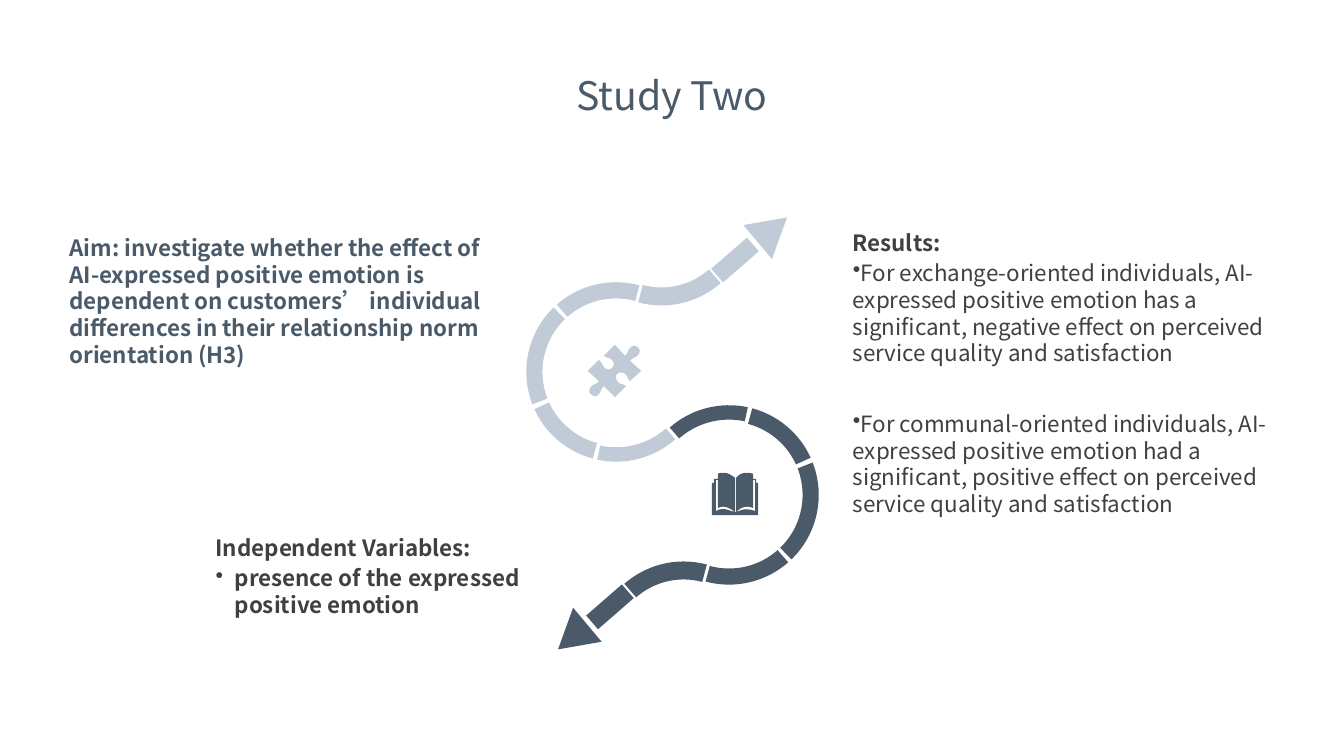
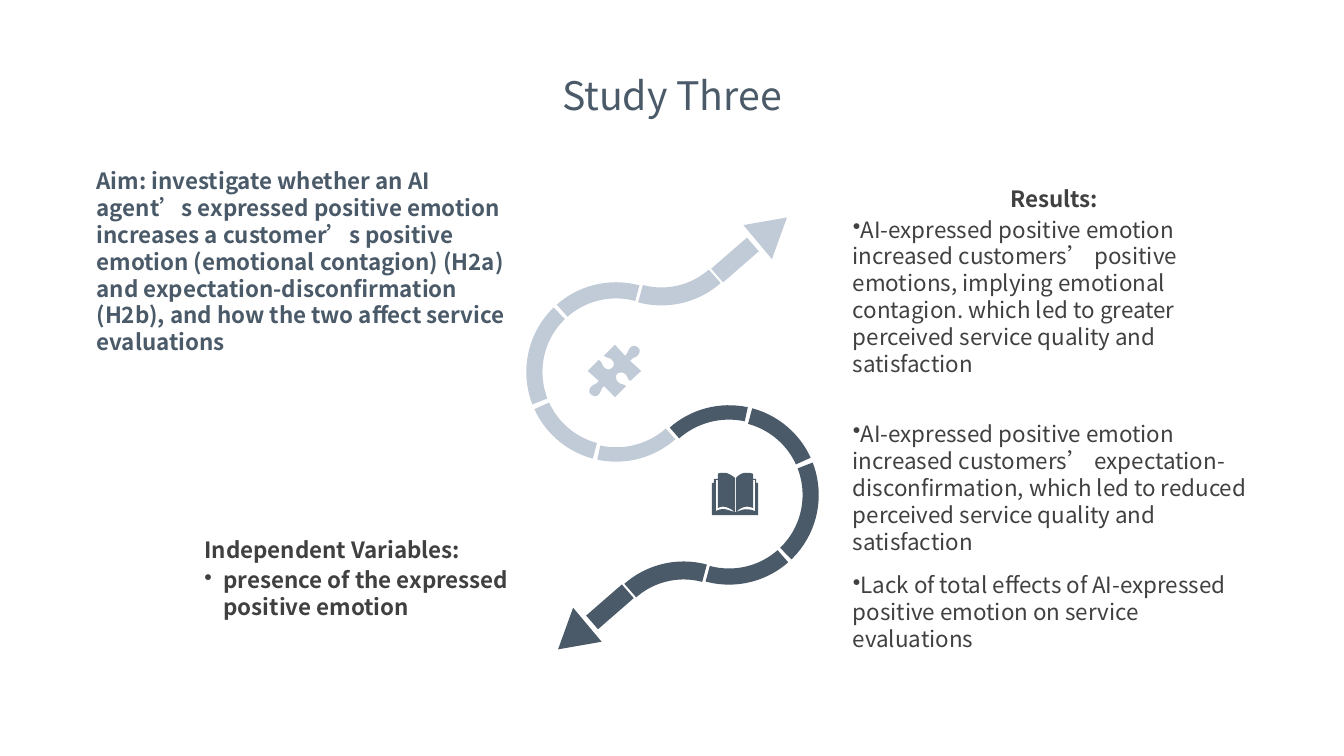
from pptx import Presentation
from pptx.dml.color import RGBColor
from pptx.enum.shapes import MSO_SHAPE as Preset
from pptx.enum.text import MSO_AUTO_SIZE as AutoSize, PP_ALIGN as Align
from pptx.oxml.xmlchemy import OxmlElement
from pptx.util import Inches, Pt

LIGHT, DARK, BODY = "C1CBD7", "4A5A69", "404040"
FONT = "Noto Sans CJK SC"

# Outlines in hundredths of an inch: pairs are line ends, sixes are cubic curves.
PUZZLE = [
    (633, 345), (635, 346, 635, 350, 633, 352), (631, 355, 628, 354, 625, 358),
    (636, 368), (625, 378), (622, 376, 623, 373, 620, 371),
    (618, 369, 614, 369, 612, 371), (611, 372, 610, 376, 613, 379),
    (616, 382, 617, 380, 621, 383), (610, 394), (599, 383),
    (595, 387, 597, 388, 594, 391), (592, 394, 588, 393, 586, 391),
    (584, 390, 584, 386, 586, 384), (588, 381, 591, 382, 594, 378),
    (583, 368), (594, 357), (598, 360, 597, 363, 600, 365),
    (602, 367, 605, 367, 607, 365), (609, 363, 610, 360, 607, 357),
    (604, 354, 603, 356, 599, 353), (610, 342), (620, 353),
    (624, 349, 622, 348, 625, 345), (628, 342, 631, 343, 633, 345),
]
BOOK = [
    (729, 508), (730, 508), (737, 505, 741, 504, 749, 507), (749, 476),
    (747, 476), (747, 504), (741, 501, 735, 503, 730, 508), (730, 474),
    (733, 471, 736, 469, 740, 469), (742, 469, 744, 469, 747, 470),
    (747, 475), (750, 475), (750, 479), (752, 479), (752, 511), (706, 511),
    (706, 479), (708, 479), (708, 475), (712, 475), (712, 470),
    (714, 469, 716, 469, 718, 469), (722, 469, 725, 471, 729, 474),
    (729, 508), (723, 503, 717, 501, 712, 504), (712, 476), (710, 476),
    (710, 507), (717, 503, 722, 506, 729, 508),
]

# Centre x, centre y, rotation, start angle, end angle, thickness.
ARC_SIZE = 1.78
ARCS = [
    (6.11, 3.69, 285, 233.82, 300.96, 0.09),
    (6.11, 3.69, 285, 303.68, 0.12, 0.09),
    (6.11, 3.69, 285, 180, 230.49, 0.09),
    (6.11, 3.69, 105, 303.68, 357.1, 0.08),
    (6.56, 2.14, 105, 303.68, 0.03, 0.1),
]
RIBBON_CENTER = (6.67, 4.3)


def color(value):
    return RGBColor.from_string(value)


def flatten(outline, steps=6):
    """Turn lines and cubic curves into a list of points."""
    points = [outline[0]]
    for piece in outline[1:]:
        if len(piece) == 2:
            points.append(piece)
            continue
        controls = [points[-1], piece[:2], piece[2:4], piece[4:]]
        for step in range(1, steps + 1):
            t = step / steps
            weights = ((1 - t) ** 3, 3 * t * (1 - t) ** 2, 3 * t * t * (1 - t), t ** 3)
            points.append(tuple(
                sum(weight * control[axis] for weight, control in zip(weights, controls))
                for axis in (0, 1)))
    return points


def add_bullet(paragraph, indent):
    properties = paragraph._p.get_or_add_pPr()
    properties.set("marL", str(Inches(indent)))
    properties.set("indent", str(-Inches(indent)))
    bullet = OxmlElement("a:buChar")
    bullet.set("char", "•")
    properties.append(bullet)


class Deck:
    def __init__(self):
        self.presentation = Presentation()
        self.presentation.slide_width = Inches(13.33)
        self.presentation.slide_height = Inches(7.5)
        self.slide = None

    def new_slide(self):
        self.slide = self.presentation.slides.add_slide(self.presentation.slide_layouts[6])

    def paint(self, shape, fill):
        shape.shadow.inherit = False
        shape.fill.solid()
        shape.fill.fore_color.rgb = color(fill)
        shape.line.fill.background()

    def shape(self, preset, center_x, center_y, width, height, rotation, fill):
        shape = self.slide.shapes.add_shape(
            preset, Inches(center_x - width / 2), Inches(center_y - height / 2),
            Inches(width), Inches(height))
        shape.rotation = rotation
        self.paint(shape, fill)
        return shape

    def icon(self, outline, fill):
        points = [(x * 10, y * 10) for x, y in flatten(outline)]
        builder = self.slide.shapes.build_freeform(*points[0], scale=Inches(1) / 1000)
        builder.add_line_segments(points[1:], close=True)
        self.paint(builder.convert_to_shape(), fill)

    def text(self, paragraphs, left, top, width, height, *, size=16, fill=BODY, bold=False,
             align=Align.LEFT, wrap=True, bullet_indent=None, gaps=()):
        """Add a text box; gaps are the points of space before each later paragraph."""
        box = self.slide.shapes.add_textbox(
            Inches(left), Inches(top), Inches(width), Inches(height))
        frame = box.text_frame
        frame.word_wrap = wrap
        frame.auto_size = AutoSize.SHAPE_TO_FIT_TEXT
        for index, content in enumerate(paragraphs):
            paragraph = frame.add_paragraph() if index else frame.paragraphs[0]
            paragraph.alignment = align
            if index:
                paragraph.space_before = Pt(gaps[index - 1])
            if bullet_indent is not None:
                add_bullet(paragraph, bullet_indent)
            run = paragraph.add_run()
            run.text = content
            run.font.name = FONT
            run.font.size = Pt(size)
            run.font.bold = bold
            run.font.color.rgb = color(fill)

    def title(self, content):
        self.text([content], 5.45, 0.66, 2.43, 0.57, size=28, fill=DARK,
                  align=Align.CENTER, wrap=False)

    def aim(self, content, left, top, height):
        self.text([content], left, top, 4.45, height, fill=DARK, bold=True)

    def variables(self, left, top):
        self.text(["Independent Variables:"], left, top, 3.87, 0.37, bold=True)
        self.text(["presence of the expressed positive emotion"], left, top + 0.3, 3.86, 0.64,
                  bold=True, bullet_indent=0.19)

    def results(self, findings, top, width, height, gaps, align=Align.LEFT):
        self.text(["Results:"], 8.36, top, width, 0.37, bold=True, align=align)
        self.text(findings, 8.36, top + 0.3, width, height, bullet_indent=0, gaps=gaps)

    def ribbon(self, fill, turned=False):
        """Draw a segmented arrow, optionally half-turned about the ribbon centre."""
        turn = 180 if turned else 0

        def place(x, y):
            if turned:
                return 2 * RIBBON_CENTER[0] - x, 2 * RIBBON_CENTER[1] - y
            return x, y

        for x, y, rotation, start, end, thickness in ARCS:
            arc = self.shape(Preset.BLOCK_ARC, *place(x, y), ARC_SIZE, ARC_SIZE,
                             (rotation + turn) % 360, fill)
            # Adjustments count 100000ths, angles 60000ths of a degree.
            for index, value in enumerate((start * 0.6, end * 0.6, thickness)):
                arc.adjustments[index] = value
        self.shape(Preset.RECTANGLE, *place(7.29, 2.58), 0.18, 0.47, 49 + turn, fill)
        self.shape(Preset.ISOSCELES_TRIANGLE, *place(7.66, 2.28), 0.44, 0.38, 50 + turn, fill)

    def study(self, name):
        """Start a study slide with its title, ribbons and icons."""
        self.new_slide()
        self.title(name)
        self.ribbon(LIGHT)
        self.ribbon(DARK, turned=True)
        self.icon(PUZZLE, LIGHT)
        self.icon(BOOK, DARK)


def main():
    deck = Deck()

    deck.study("Study Two")
    deck.aim("Aim: investigate whether the effect of AI-expressed positive emotion is dependent "
             "on customers’ individual differences in their relationship norm orientation (H3)",
             0.59, 2.27, 1.45)
    deck.variables(2.04, 5.25)
    deck.results([
        "For exchange-oriented individuals, AI-expressed positive emotion has a significant, "
        "negative effect on perceived service quality and satisfaction",
        "For communal-oriented individuals, AI- expressed positive emotion had a significant, "
        "positive effect on perceived service quality and satisfaction",
    ], 2.22, 4.31, 3.23, gaps=[31])

    deck.study("Study Three")
    deck.aim("Aim: investigate whether an AI agent’s expressed positive emotion increases a "
             "customer’s positive emotion (emotional contagion) (H2a) and "
             "expectation-disconfirmation (H2b), and how the two affect service evaluations",
             0.86, 1.61, 1.99)
    deck.variables(1.93, 5.27)
    deck.results([
        "AI-expressed positive emotion increased customers’ positive emotions, implying "
        "emotional contagion. which led to greater perceived service quality and satisfaction",
        "AI-expressed positive emotion increased customers’ expectation-disconfirmation, "
        "which led to reduced perceived service quality and satisfaction",
        "Lack of total effects of AI-expressed positive emotion on service evaluations",
    ], 1.79, 4.19, 4.48, gaps=[31, 12], align=Align.CENTER)

    deck.presentation.save("out.pptx")


if __name__ == "__main__":
    main()
